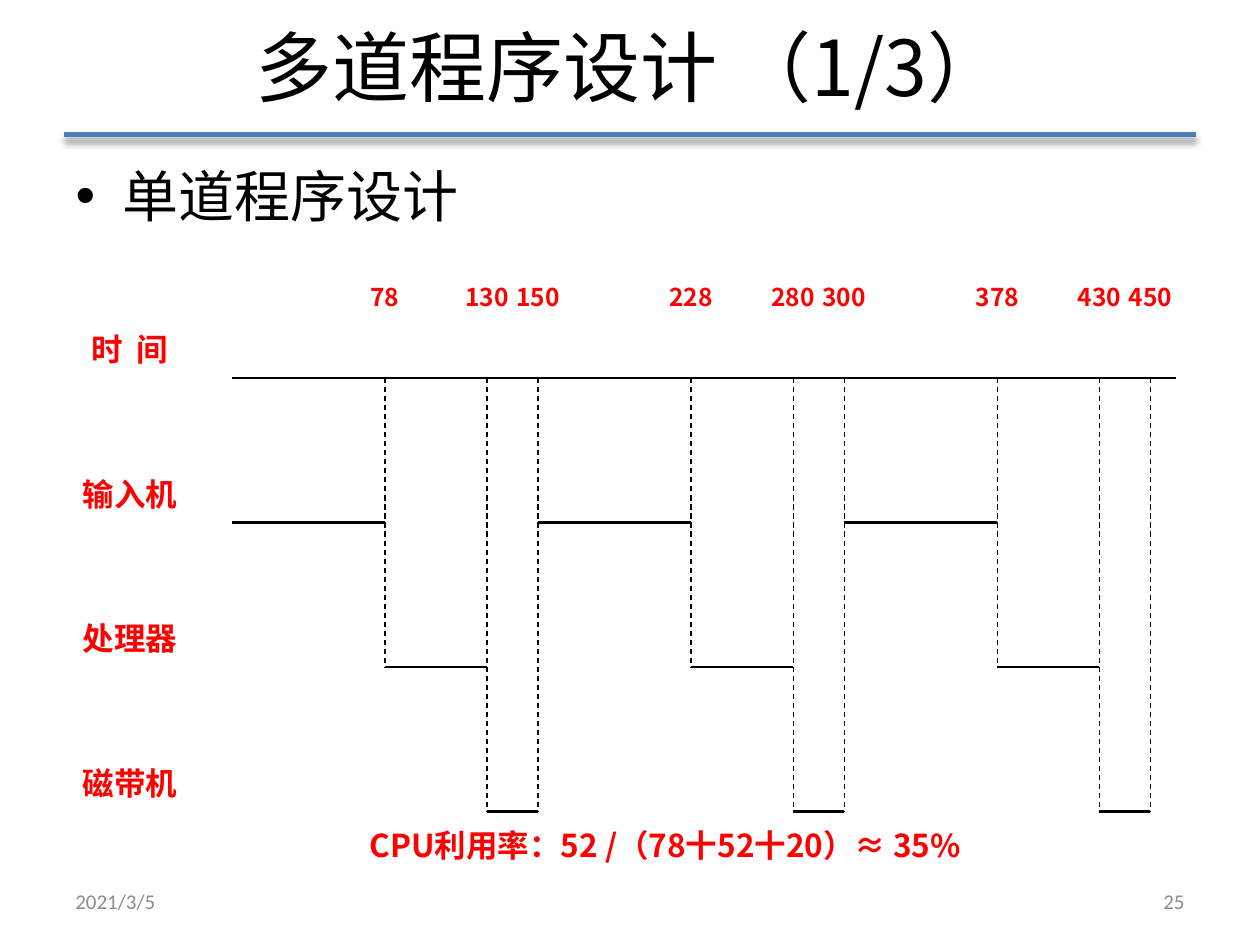
from lxml.etree import SubElement
from pptx import Presentation
from pptx.dml.color import RGBColor
from pptx.enum.dml import MSO_LINE_DASH_STYLE as DASH
from pptx.enum.shapes import MSO_CONNECTOR
from pptx.enum.text import MSO_ANCHOR as ANCHOR, PP_ALIGN as ALIGN
from pptx.oxml.ns import qn
from pptx.util import Inches, Pt

BLACK = RGBColor(0x00, 0x00, 0x00)
RED = RGBColor(0xFF, 0x00, 0x00)
GRAY = RGBColor(0x8C, 0x8C, 0x8C)
BLUE = RGBColor(0x4B, 0x7E, 0xBC)
HEAD_FONT = "Noto Sans CJK JP"
LABEL_FONT = "Noto Sans CJK SC"
FOOT_FONT = "Calibri"

AXIS_LEFT, AXIS_RIGHT, STEP = 1.84, 9.33, 0.405
ROW_TOP, ROW_GAP = 3.0, 1.147
CYCLE_STEPS = 6
ROW_LABELS = ["时  间", "输入机", "处理器", "磁带机"]
# Each device is busy from one step of a cycle to another, ending at a time.
PHASES = [(0, 3, 78), (3, 5, 130), (5, 6, 150)]
CYCLE_TIME = 150


class Deck:
    def __init__(self):
        self.prs = Presentation()
        self.prs.slide_width, self.prs.slide_height = Inches(10), Inches(7.5)
        self.slide = self.prs.slides.add_slide(self.prs.slide_layouts[1])

    def fill_text(self, tf, text, size, font, color, align, bold=False):
        tf.text = text
        p = tf.paragraphs[0]
        p.alignment = align
        p.space_before = Pt(0)
        for r in p.runs:
            r.font.size, r.font.bold = Pt(size), bold
            r.font.name = font
            r.font.color.rgb = color
            SubElement(r.font._element, qn("a:ea"), typeface=font)

    def placeholder(self, idx, text, left, top, width, height, size, align):
        sp = self.slide.placeholders[idx]
        sp.left, sp.top = Inches(left), Inches(top)
        sp.width, sp.height = Inches(width), Inches(height)
        self.fill_text(sp.text_frame, text, size, HEAD_FONT, BLACK, align)

    def text(self, text, left, top, width, height, size, font=LABEL_FONT,
             color=RED, align=ALIGN.CENTER, bold=True, anchor=ANCHOR.TOP,
             inset=True):
        sp = self.slide.shapes.add_textbox(
            Inches(left), Inches(top), Inches(width), Inches(height))
        tf = sp.text_frame
        tf.word_wrap = True
        tf.vertical_anchor = anchor
        if not inset:
            tf.margin_left = tf.margin_right = 0
            tf.margin_top = tf.margin_bottom = 0
        self.fill_text(tf, text, size, font, color, align, bold)

    def line(self, x1, y1, x2, y2, width=1.5, color=BLACK, dash=None,
             shadow=False):
        cx = self.slide.shapes.add_connector(
            MSO_CONNECTOR.STRAIGHT, Inches(x1), Inches(y1),
            Inches(x2), Inches(y2))
        cx.line.width = Pt(width)
        cx.line.color.rgb = color
        if dash:
            cx.line.dash_style = dash
        effects = SubElement(cx._element.spPr, qn("a:effectLst"))
        if shadow:
            outer = SubElement(effects, qn("a:outerShdw"),
                               blurRad=str(Pt(4)), dist=str(Pt(3)),
                               dir="5400000", rotWithShape="0")
            clr = SubElement(outer, qn("a:srgbClr"), val="000000")
            SubElement(clr, qn("a:alpha"), val="40000")


def step_x(step):
    return AXIS_LEFT + step * STEP


def row_y(row):
    return ROW_TOP + row * ROW_GAP


def draw_timeline(deck):
    for row, label in enumerate(ROW_LABELS):
        deck.text(label, 0.42, row_y(row) - 0.38, 1.22, 0.76, 18, inset=False)
    deck.line(AXIS_LEFT, ROW_TOP, AXIS_RIGHT, ROW_TOP)
    for cycle in range(3):
        first = cycle * CYCLE_STEPS
        for row, (start, end, time) in enumerate(PHASES, 1):
            x1, x2, y = step_x(first + start), step_x(first + end), row_y(row)
            deck.line(x1, y, x2, y)
            deck.line(x2, ROW_TOP, x2, row_y(min(row + 1, 3)), 0.75,
                      dash=DASH.DASH)
            deck.text(str(cycle * CYCLE_TIME + time), x2 - STEP / 2, 2.24,
                      STEP, 0.76, 14, inset=False)


def main():
    deck = Deck()
    deck.line(0.51, 1.07, 9.49, 1.07, 3, BLUE, shadow=True)
    deck.placeholder(0, "多道程序设计 （1/3）", 0.5, -0.03, 9, 1.1, 44,
                     ALIGN.CENTER)
    deck.placeholder(1, "单道程序设计", 0.5, 1.23, 9, 5.47, 32, ALIGN.LEFT)
    draw_timeline(deck)
    deck.text("CPU利用率：52 /（78十52十20）≈ 35%", 2.78, 6.51, 5, 0.4, 18)
    for text, left, align in [("2021/3/5", 0.5, ALIGN.LEFT),
                              ("25", 7.17, ALIGN.RIGHT)]:
        deck.text(text, left, 6.95, 2.33, 0.4, 12, FOOT_FONT, GRAY, align,
                  bold=False, anchor=ANCHOR.MIDDLE)
    deck.prs.save("out.pptx")


if __name__ == "__main__":
    main()
